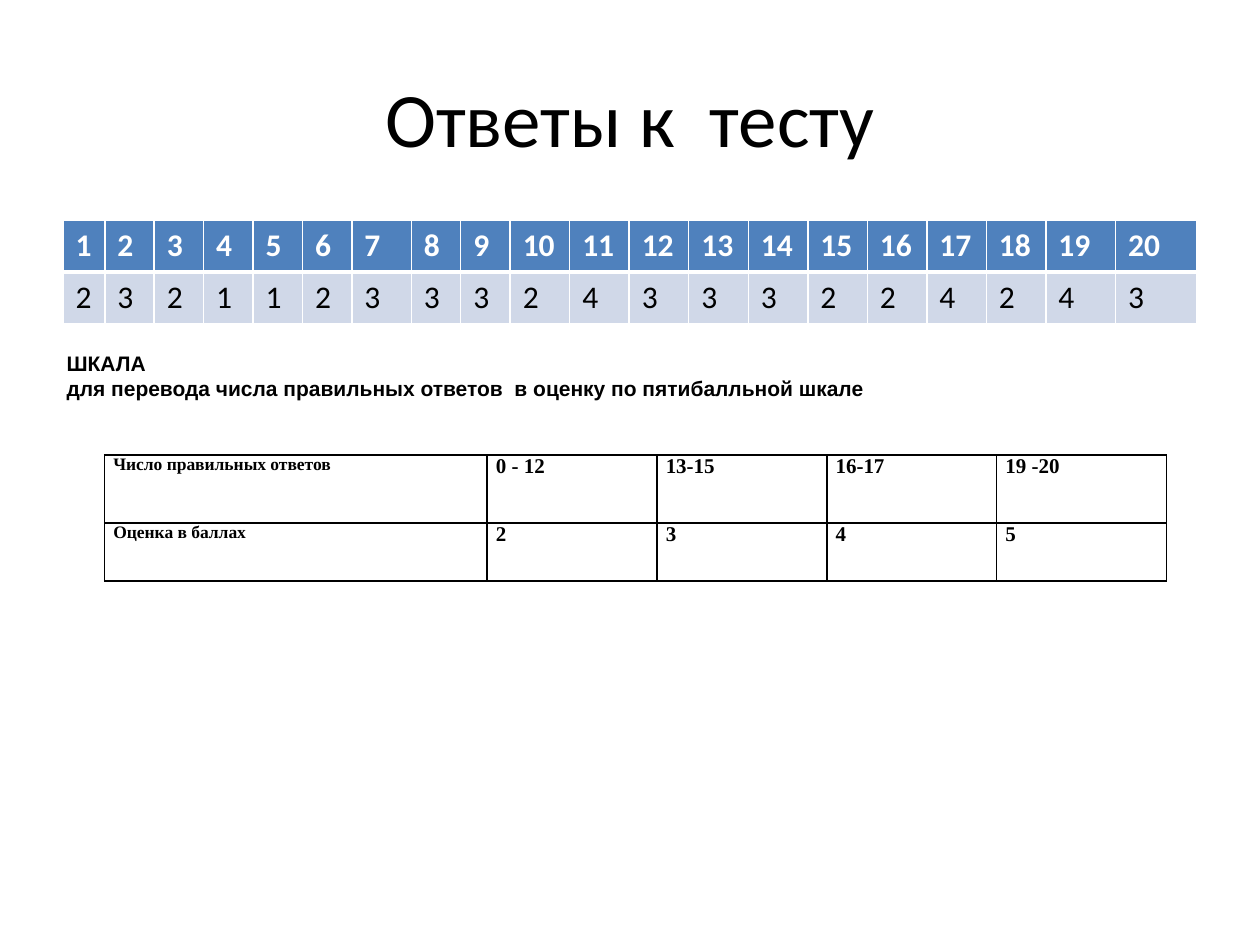
from dataclasses import dataclass

from lxml import etree
from pptx import Presentation
from pptx.dml.color import RGBColor
from pptx.enum.text import MSO_ANCHOR, PP_ALIGN
from pptx.oxml.ns import qn
from pptx.util import Inches, Pt

MIDDLE, CENTER = MSO_ANCHOR.MIDDLE, PP_ALIGN.CENTER


@dataclass
class Theme:
    black: str = "000000"
    white: str = "FFFFFF"
    header: str = "4F81BD"
    band: str = "D0D8E8"
    sans: str = "Calibri"
    label: str = "Arial"
    serif: str = "Times New Roman"
    title: int = 44
    answer: int = 18
    body: int = 12
    small: int = 10


theme = Theme()


def set_font(para, name, size, color, bold=False):
    para.font.name = name
    para.font.size = Pt(size)
    para.font.bold = bold
    para.font.color.rgb = RGBColor.from_string(color)


def add_grid(page, rows, box, widths, heights, border, style):
    """Add a table; style(row, column) gives font, size, colour, bold, fill, bottom line."""
    frame = page.shapes.add_table(len(rows), len(widths), *map(Inches, box))
    table = frame.table
    table.first_row = table.horz_banding = False
    for column, share in zip(table.columns, widths):
        column.width = Inches(box[2] * share / sum(widths))
    for row, height in zip(table.rows, heights):
        row.height = Inches(height)
    for r, values in enumerate(rows):
        for c, value in enumerate(values):
            name, size, color, bold, fill, bottom = style(r, c)
            cell = table.cell(r, c)
            cell.text = value
            set_font(cell.text_frame.paragraphs[0], name, size, color, bold)
            # Borders precede the fill in the cell properties
            properties = cell._tc.get_or_add_tcPr()
            for side, width in (("L", 1), ("R", 1), ("T", 1 if r == 0 else style(r - 1, c)[5]),
                                ("B", bottom)):
                line = etree.SubElement(properties, qn(f"a:ln{side}"), w=str(Pt(width)))
                solid = etree.SubElement(line, qn("a:solidFill"))
                etree.SubElement(solid, qn("a:srgbClr"), val=border)
            if fill:
                cell.fill.solid()
                cell.fill.fore_color.rgb = RGBColor.from_string(fill)
            else:
                cell.fill.background()
    return table


deck = Presentation()
deck.slide_width, deck.slide_height = Inches(10), Inches(7.5)
page = deck.slides.add_slide(deck.slide_layouts[5])

# Title
title = page.shapes.title
title.left, title.top, title.width, title.height = map(Inches, (0.5, 0.3, 9, 1.25))
title.text_frame.text = "Ответы к  тесту"
title.text_frame.vertical_anchor = MIDDLE
title_para = title.text_frame.paragraphs[0]
title_para.alignment = CENTER
set_font(title_para, theme.sans, theme.title, theme.black)

# Answer key: question numbers above answers
answers = "23211233324333224243"
numbers = [str(n) for n in range(1, len(answers) + 1)]
special_widths = {1: 0.33, 7: 0.47, 19: 0.55, 20: 0.64}
answer_widths = [special_widths.get(n, 0.39 if n < 10 else 0.47)
                 for n in range(1, len(answers) + 1)]
answer_styles = [
    (theme.sans, theme.answer, theme.white, True, theme.header, 3),
    (theme.sans, theme.answer, theme.black, False, theme.band, 1),
]
add_grid(page, [numbers, answers], (0.5, 1.75, 9, 0.81), answer_widths,
         (0.41, 0.41), theme.white, lambda r, c: answer_styles[r])

# Scale heading
heading = page.shapes.add_textbox(*map(Inches, (0.43, 2.73, 8.98, 0.5)))
heading.text_frame.word_wrap = True
heading.text_frame.text = ("ШКАЛА\n"
                           "для перевода числа правильных ответов  в оценку по пятибалльной шкале")
for para in heading.text_frame.paragraphs:
    set_font(para, theme.label, theme.body, theme.black, True)

# Grade scale
scale = [
    ("Число правильных ответов", "0 - 12", "13-15", "16-17", "19 -20"),
    ("Оценка в баллах", "2", "3", "4", "5"),
]
scale_table = add_grid(
    page, scale, (0.83, 3.61, 8.43, 1), [3.04] + [1.35] * 4, (0.54, 0.46), theme.black,
    lambda r, c: (theme.serif, theme.body if c else theme.small, theme.black, True, None, 1))
for cell in scale_table.iter_cells():
    cell.margin_left = cell.margin_right = Inches(0.07)
    cell.margin_top = cell.margin_bottom = 0

deck.save("out.pptx")
